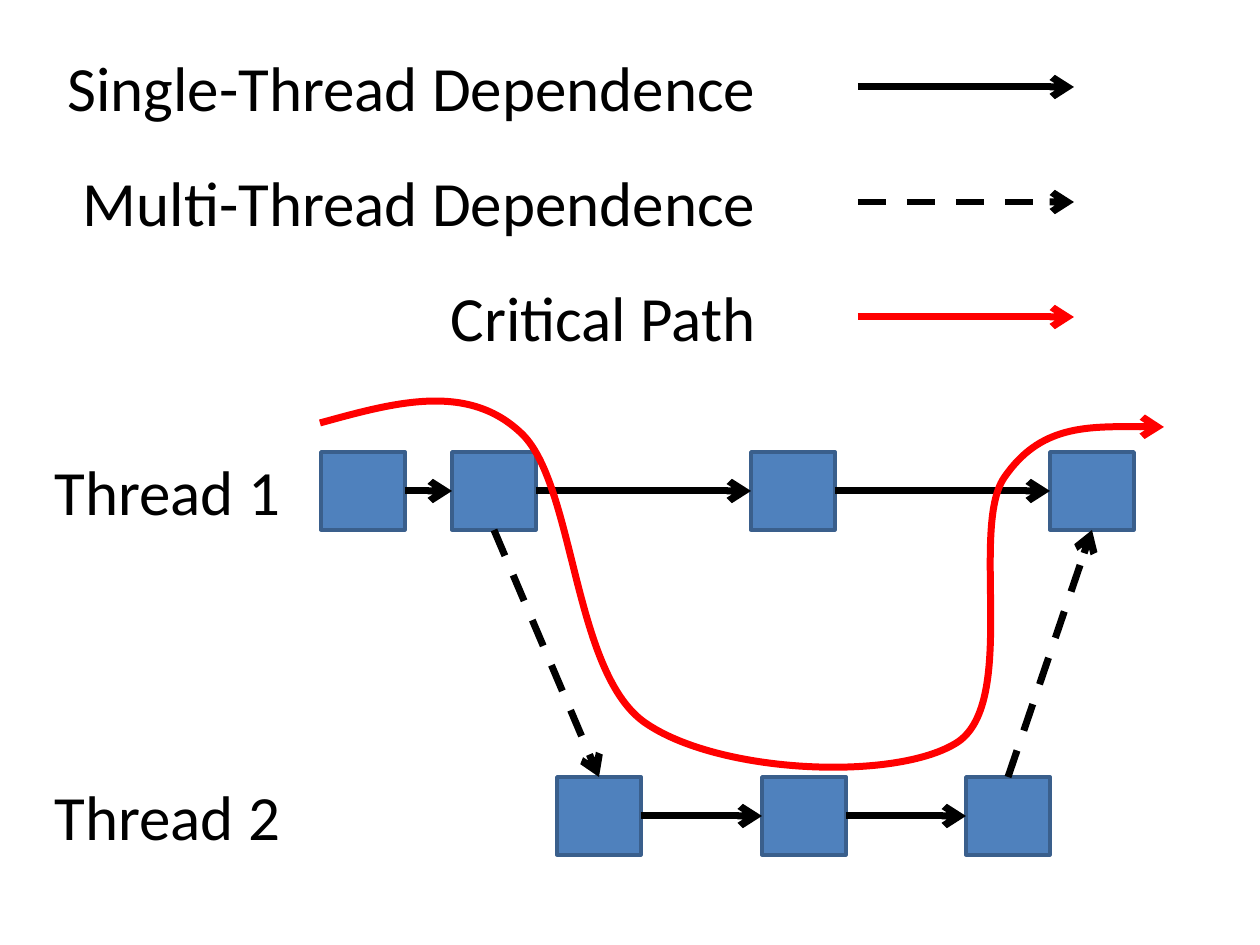
from lxml import etree
from pptx import Presentation
from pptx import util as u
from pptx.dml.color import RGBColor
from pptx.enum import dml, shapes, text
from pptx.oxml.ns import qn

BLACK, RED, BLUE, NAVY = "000000", "FF0000", "4F81BD", "3A5F8C"
LEGEND = [
    ("Single-Thread Dependence", BLACK, False),
    ("Multi-Thread Dependence", BLACK, True),
    ("Critical Path", RED, False),
]
THREADS = [
    ("Thread 1", 452, [321, 452, 751, 1050]),
    ("Thread 2", 777, [557, 762, 966]),
]
CROSS = [((0, 1), (1, 0)), ((1, 2), (0, 3))]
BOX_W, BOX_H = 84, 78
TOP, BOTTOM, LEFT, RIGHT = 0, 2, 1, 3
START = (320, 423)
CURVES = [
    [(393, 403), (466, 382), (520, 432)],
    [(575, 481), (572, 670), (644, 722)],
    [(717, 774), (897, 782), (958, 742)],
    [(1018, 701), (970, 529), (1004, 478)],
    [(1040, 425), (1101, 426), (1164, 427)],
]
BOUNDS = (320, 401, 1164, 768)


def px(n):
    return u.Emu(round(n * 914400 / 126))


def color(code):
    return RGBColor.from_string(code)


prs = Presentation()
prs.slide_width, prs.slide_height = px(1260), px(945)
slide = prs.slides.add_slide(prs.slide_layouts[6])
tree = slide.shapes


def label(words, x, y, w, align):
    item = tree.add_textbox(px(x), px(y), px(w), px(89))
    frame = item.text_frame
    frame.word_wrap = True
    frame.auto_size = text.MSO_AUTO_SIZE.SHAPE_TO_FIT_TEXT
    para = frame.paragraphs[0]
    para.alignment = align
    run = para.add_run()
    run.text = words
    run.font.name, run.font.size = "Calibri", u.Pt(36)
    run.font.color.rgb = color(BLACK)


def stroke(item, code, dash=False):
    line = item.line
    line.width = u.Pt(4)
    line.color.rgb = color(code)
    if dash:
        line.dash_style = dml.MSO_LINE.DASH
    etree.SubElement(line._get_or_add_ln(), qn("a:tailEnd"), type="arrow")


def arrow(x1, y1, x2, y2, code=BLACK, dash=False):
    item = tree.add_connector(
        shapes.MSO_CONNECTOR.STRAIGHT, px(x1), px(y1), px(x2), px(y2))
    stroke(item, code, dash)
    etree.SubElement(item._element.spPr, qn("a:effectLst"))
    return item


def link(a, site_a, b, site_b, dash=False):
    item = arrow(0, 0, 0, 0, BLACK, dash)
    item.begin_connect(a, site_a)
    item.end_connect(b, site_b)


def box(x, y):
    item = tree.add_shape(
        shapes.MSO_SHAPE.RECTANGLE, px(x), px(y), px(BOX_W), px(BOX_H))
    item.shadow.inherit = False
    item.fill.solid()
    item.fill.fore_color.rgb = color(BLUE)
    item.line.color.rgb = color(NAVY)
    item.line.width = u.Pt(2)
    return item


def curve(start, parts, bounds, code):
    x1, y1, x2, y2 = bounds
    form = tree.build_freeform(px(x1), px(y1))
    form.add_line_segments([(px(x2), px(y2))], close=False)
    item = form.convert_to_shape()
    item.shadow.inherit = False
    item.fill.background()
    stroke(item, code)
    route = item._element.xpath(".//a:path")[0]
    for child in list(route):
        route.remove(child)
    for tag, points in [("a:moveTo", [start])] + [("a:cubicBezTo", p) for p in parts]:
        step = etree.SubElement(route, qn(tag))
        for x, y in points:
            etree.SubElement(step, qn("a:pt"), x=str(px(x - x1)), y=str(px(y - y1)))


rows = []
for name, y, lefts in THREADS:
    label(name, 10, y - 6, 315, text.PP_ALIGN.CENTER)
    rows.append([box(x, y) for x in lefts])
for row in rows:
    for a, b in zip(row, row[1:]):
        link(a, RIGHT, b, LEFT)
for (r1, c1), (r2, c2) in CROSS:
    sites = (BOTTOM, TOP) if r1 < r2 else (TOP, BOTTOM)
    link(rows[r1][c1], sites[0], rows[r2][c2], sites[1], True)

for i, (name, code, dash) in enumerate(LEGEND):
    y = 42 + 115 * i
    label(name, -21, y, 789, text.PP_ALIGN.RIGHT)
    arrow(858, y + 45, 1074, y + 45, code, dash)

curve(START, CURVES, BOUNDS, RED)
prs.save("out.pptx")
